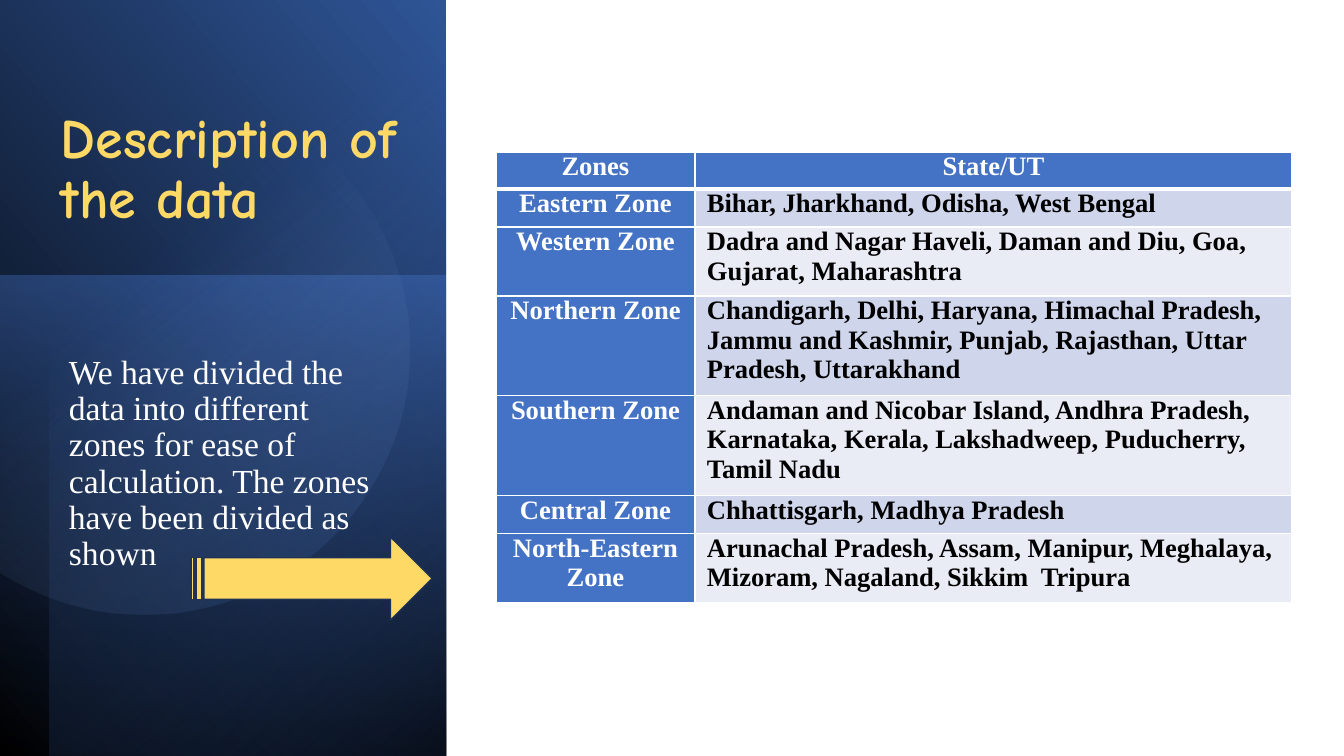
"""Build the slide that lists the states and territories in each zone."""
import math

from pptx import Presentation
from pptx import util as u
from pptx.dml.color import RGBColor
from pptx.enum import shapes, text
from pptx.oxml import parse_xml
from pptx.oxml.ns import nsdecls, qn

PX = 914400 / 100.8
SLIDE_SIZE = (1344, 756)
SERIF = "Times New Roman"
WHITE, BLACK, YELLOW, BLUE = "FFFFFF", "000000", "FFD966", "4472C4"
BANDS = ("CFD5EA", "E9EBF5")

TITLE = "Description of the data"
BODY = ("We have divided the data into different zones for ease of calculation. "
        "The zones have been divided as shown")
ZONES = [
    ("Zones", "State/UT"),
    ("Eastern Zone", "Bihar, Jharkhand, Odisha, West Bengal"),
    ("Western Zone", "Dadra and Nagar Haveli, Daman and Diu, Goa, Gujarat, Maharashtra"),
    ("Northern Zone", "Chandigarh, Delhi, Haryana, Himachal Pradesh, Jammu and Kashmir, "
                      "Punjab, Rajasthan, Uttar Pradesh, Uttarakhand"),
    ("Southern Zone", "Andaman and Nicobar Island, Andhra Pradesh, Karnataka, Kerala, "
                      "Lakshadweep, Puducherry, Tamil Nadu"),
    ("Central Zone", "Chhattisgarh, Madhya Pradesh"),
    ("North-Eastern Zone", "Arunachal Pradesh, Assam, Manipur, Meghalaya, Mizoram, "
                           "Nagaland, Sikkim  Tripura"),
]
TABLE_ORIGIN = (496, 152)
COLUMN_WIDTHS = (199, 597)
ROW_HEIGHTS = (37, 38, 69, 100, 100, 38, 69)

PANELS = [
    {"box": (0, 0, 446, 756), "rotation": 90, "flip": True, "angle": 310,
     "stops": [(0, BLACK, 100), (100, "2F5597", 100)]},
    {"box": (0, 275, 446, 481), "rotation": 270, "flip": False, "angle": 190,
     "stops": [(0, BLUE, 50), (100, "203864", 0)]},
    {"box": (50, 0, 396, 756), "rotation": 270, "flip": True, "angle": 220,
     "stops": [(0, BLACK, 59), (69, BLUE, 0)]},
]
CIRCLE = {"center": (144, 350), "radius": 265, "angle": 52,
          "stops": [(39, "8FAADC", 0), (100, "2F5597", 26)]}


def px(*lengths):
    return [u.Emu(round(length * PX)) for length in lengths]


def color(value):
    return RGBColor.from_string(value)


def fill_gradient(shape, stops, angle):
    shape.shadow.inherit = False
    shape.line.fill.background()
    shape.fill.background()
    stop_xml = "".join(
        f'<a:gs pos="{position * 1000}"><a:srgbClr val="{value}">'
        f'<a:alpha val="{opacity * 1000}"/></a:srgbClr></a:gs>'
        for position, value, opacity in stops)
    gradient = parse_xml(
        f'<a:gradFill {nsdecls("a")} rotWithShape="1"><a:gsLst>{stop_xml}</a:gsLst>'
        f'<a:lin ang="{angle * 60000}" scaled="0"/></a:gradFill>')
    properties = shape.element.spPr
    properties.replace(properties.find(qn("a:noFill")), gradient)


def format_text(frame, content, size, font, value, bold=False, align=None):
    frame.text = content
    paragraph = frame.paragraphs[0]
    paragraph.alignment = align
    run = paragraph.runs[0]
    run.font.size, run.font.name, run.font.bold = u.Pt(size), font, bold
    run.font.color.rgb = color(value)
    return paragraph


def add_panel(slide, box, rotation, flip, angle, stops):
    left, top, width, height = box
    unrotated = (left + (width - height) / 2, top + (height - width) / 2, height, width)
    panel = slide.shapes.add_shape(shapes.MSO_SHAPE.RECTANGLE, *px(*unrotated))
    panel.rotation = rotation
    if flip:
        panel.element.spPr.find(qn("a:xfrm")).set("flipH", "1")
    fill_gradient(panel, stops, angle)


def add_circle(slide, center, radius, angle, stops):
    edge = math.acos(-center[0] / radius)
    steps = 120
    points = []
    for step in range(steps + 1):
        turn = -edge + 2 * edge * step / steps
        points.append(px(center[0] + radius * math.cos(turn),
                         center[1] + radius * math.sin(turn)))
    builder = slide.shapes.build_freeform(*points[0])
    builder.add_line_segments(points[1:], close=True)
    fill_gradient(builder.convert_to_shape(), stops, angle)


def add_text(slide, box, anchor, content, size, font, value, bold=False):
    frame = slide.shapes.add_textbox(*px(*box)).text_frame
    frame.word_wrap = True
    frame.vertical_anchor = anchor
    paragraph = format_text(frame, content, size, font, value, bold)
    paragraph.line_spacing = 0.9
    return paragraph


def set_borders(cell, header, below_header):
    properties = cell._tc.get_or_add_tcPr()
    widths = {"L": 1, "R": 1, "T": 3 if below_header else 1, "B": 3 if header else 1}
    for side, width in widths.items():
        properties.append(parse_xml(
            f'<a:ln{side} {nsdecls("a")} w="{width * 12700}"><a:solidFill>'
            f'<a:srgbClr val="{WHITE}"/></a:solidFill></a:ln{side}>'))


def add_zone_table(slide):
    size = (sum(COLUMN_WIDTHS), sum(ROW_HEIGHTS))
    table = slide.shapes.add_table(
        len(ZONES), len(COLUMN_WIDTHS), *px(*TABLE_ORIGIN, *size)).table
    for column, width in zip(table.columns, px(*COLUMN_WIDTHS)):
        column.width = width
    for row, height in zip(table.rows, px(*ROW_HEIGHTS)):
        row.height = height
    for i, entries in enumerate(ZONES):
        for j, content in enumerate(entries):
            cell = table.cell(i, j)
            heading = i == 0 or j == 0
            cell.margin_left, cell.margin_right = px(12, 12)
            cell.margin_top = cell.margin_bottom = 0
            set_borders(cell, i == 0, i == 1)
            cell.fill.solid()
            cell.fill.fore_color.rgb = color(BLUE if heading else BANDS[(i - 1) % 2])
            align = text.PP_ALIGN.CENTER if heading else text.PP_ALIGN.LEFT
            format_text(cell.text_frame, content, 19, SERIF,
                        WHITE if heading else BLACK, True, align)


def add_arrow(slide):
    arrow = slide.shapes.add_shape(
        shapes.MSO_SHAPE.STRIPED_RIGHT_ARROW, *px(191, 537, 241, 83))
    arrow.shadow.inherit = False
    arrow.fill.solid()
    arrow.fill.fore_color.rgb = color(YELLOW)
    arrow.line.color.rgb = color("1E3256")
    arrow.line.width = u.Pt(1)


def main():
    presentation = Presentation()
    presentation.slide_width, presentation.slide_height = px(*SLIDE_SIZE)
    slide = presentation.slides.add_slide(presentation.slide_layouts[6])
    for panel in PANELS:
        add_panel(slide, **panel)
    add_circle(slide, **CIRCLE)
    add_text(slide, (51, 105, 368, 143), text.MSO_ANCHOR.TOP,
             TITLE, 40, "Comic Neue", YELLOW, True)
    body = add_text(slide, (59, 324, 327, 254), text.MSO_ANCHOR.BOTTOM,
                    BODY, 24, SERIF, WHITE)
    body.space_before = u.Pt(10)
    add_zone_table(slide)
    add_arrow(slide)
    presentation.save("out.pptx")


if __name__ == "__main__":
    main()
